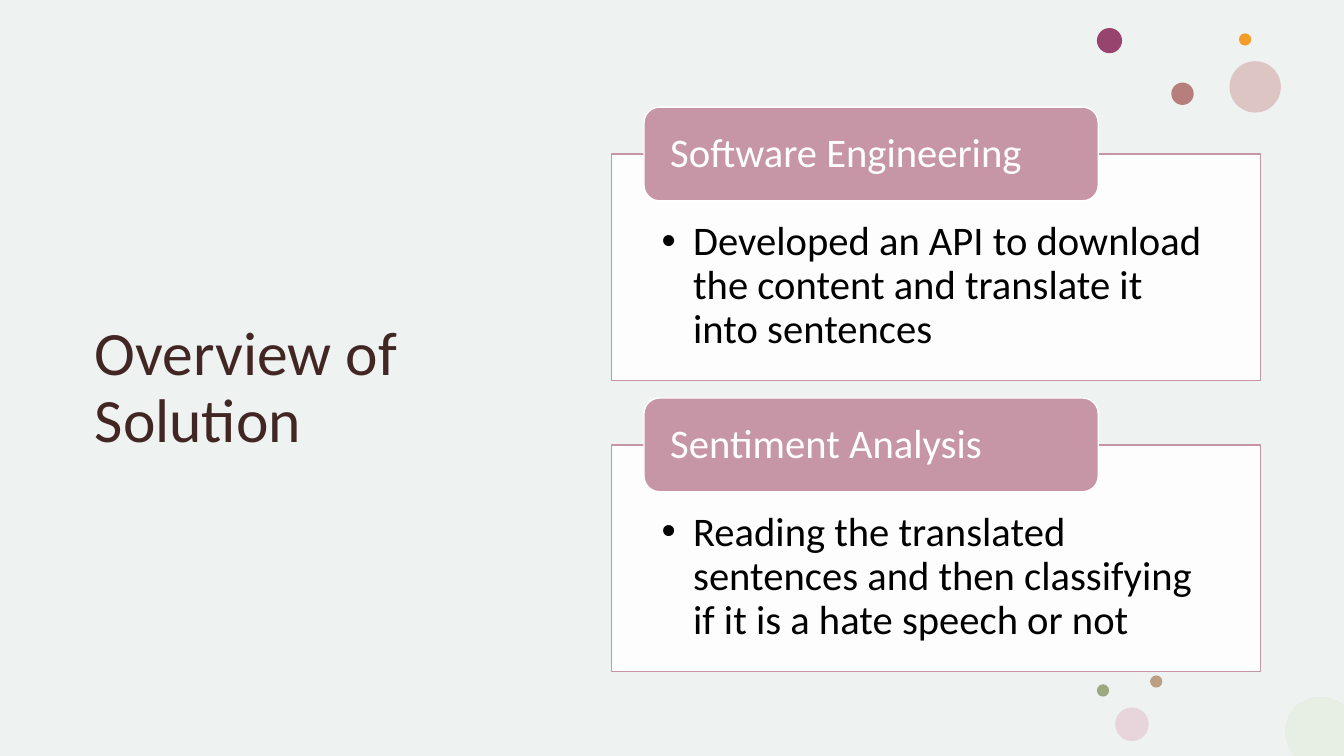
from math import cos, pi, sin

from lxml.etree import SubElement
from pptx import Presentation
from pptx.dml.color import RGBColor
from pptx.enum.shapes import MSO_SHAPE
from pptx.enum.text import MSO_ANCHOR, MSO_AUTO_SIZE, PP_ALIGN
from pptx.oxml.ns import qn
from pptx.util import Pt

WIDTH, HEIGHT = 960, 540
FONT = "Calibri"
COLORS = {
    "background": "EEF2F1",
    "title": "412624",
    "rose": "C696A7",
    "white": "FFFFFF",
    "black": "000000",
    "plum": "97446E",
    "blush": "D6B4B2",
    "orange": "F39E29",
    "clay": "B67F7B",
    "tan": "BC9E83",
    "pink": "E8D5DC",
    "olive": "9CA87F",
    "mint": "E7EFE4",
}

# Left, top, diameter, colour, opacity in percent
DOTS = [
    (783.5, 20, 18, "plum", 100),
    (878.2, 43.7, 36.7, "blush", 72),
    (885, 23.8, 8.8, "orange", 100),
    (836.7, 59, 16, "clay", 100),
    (821.5, 482.4, 8.8, "tan", 100),
    (796.5, 505.3, 24, "pink", 100),
    (783.5, 488.8, 8.8, "olive", 100),
]

TOPICS = [
    ("Software Engineering",
     "Developed an API to download the content and translate it into sentences"),
    ("Sentiment Analysis",
     "Reading the translated sentences and then classifying if it is a hate speech or not"),
]
CARD_TOP, CARD_PITCH = 110, 207.8


def rgb(name):
    return RGBColor.from_string(COLORS[name])


def paint(shape, color, opacity=100, outline=None):
    shape.fill.solid()
    shape.fill.fore_color.rgb = rgb(color)
    if opacity < 100:
        solid = shape.fill._xPr.find(qn("a:solidFill"))
        SubElement(solid[0], qn("a:alpha"), val=str(opacity * 1000))
    if outline:
        shape.line.color.rgb = rgb(outline)
        shape.line.width = Pt(1)
    else:
        shape.line.fill.background()


def place(shape, left, top, width, height):
    shape.left, shape.top = Pt(left), Pt(top)
    shape.width, shape.height = Pt(width), Pt(height)


def write(shape, text, size, color, anchor, margins):
    frame = shape.text_frame
    frame.word_wrap = True
    frame.auto_size = MSO_AUTO_SIZE.NONE
    frame.vertical_anchor = anchor
    (frame.margin_left, frame.margin_top,
     frame.margin_right, frame.margin_bottom) = [Pt(m) for m in margins]
    paragraph = frame.paragraphs[0]
    paragraph.alignment = PP_ALIGN.LEFT
    paragraph.line_spacing = 0.9
    paragraph.space_before = Pt(0)
    run = paragraph.add_run()
    run.text = text
    run.font.name = FONT
    run.font.size = Pt(size)
    run.font.color.rgb = rgb(color)
    return paragraph


def add_bullet(paragraph, indent):
    properties = paragraph._p.get_or_add_pPr()
    properties.set("marL", str(Pt(indent)))
    properties.set("indent", str(-Pt(indent)))
    SubElement(properties, qn("a:buFont"), typeface="Arial")
    SubElement(properties, qn("a:buChar"), char="•")


def add_dot(slide, left, top, diameter, color, opacity):
    dot = slide.shapes.add_shape(
        MSO_SHAPE.OVAL, Pt(left), Pt(top), Pt(diameter), Pt(diameter))
    dot.shadow.inherit = False
    paint(dot, color, opacity)


def add_corner_dot(slide, center_x, center_y, radius, color):
    """A circle cut off by the right and bottom edges of the slide."""
    points = [
        (min(center_x + radius * cos(step * pi / 60), WIDTH),
         min(center_y + radius * sin(step * pi / 60), HEIGHT))
        for step in range(120)
    ]
    builder = slide.shapes.build_freeform(*points[0], scale=Pt(1))
    builder.add_line_segments(points[1:], close=True)
    dot = builder.convert_to_shape()
    dot.shadow.inherit = False
    paint(dot, color)


def add_card(slide, body, top, heading, detail):
    # Outlined panel with its list
    place(body, 436.6, top, 463.6, 162)
    paint(body, "white", 90, "rose")
    paragraph = write(body, detail, 29, "black", MSO_ANCHOR.TOP,
                      (36, 47.5, 36, 16.5))
    add_bullet(paragraph, 22.5)

    # Heading tab across the panel's top edge
    tab = slide.shapes.add_shape(
        MSO_SHAPE.ROUNDED_RECTANGLE, Pt(460), Pt(top - 33.5), Pt(324.5), Pt(67))
    tab.shadow.inherit = False
    paint(tab, "rose", outline="white")
    write(tab, heading, 29, "white", MSO_ANCHOR.MIDDLE, (15.5, 0, 15.5, 0))


def main():
    deck = Presentation()
    deck.slide_width, deck.slide_height = Pt(WIDTH), Pt(HEIGHT)
    slide = deck.slides.add_slide(deck.slide_layouts.get_by_name("Two Content"))
    slide.background.fill.solid()
    slide.background.fill.fore_color.rgb = rgb("background")

    # Title
    title, *bodies = slide.placeholders
    place(title, 60.5, 75, 363, 406)
    write(title, "Overview of Solution", 44, "title", MSO_ANCHOR.MIDDLE,
          (7.2, 3.6, 7.2, 3.6))

    # Decorative dots
    for dot in DOTS:
        add_dot(slide, *dot)
    add_corner_dot(slide, 943.2, 522.7, 25.2, "mint")

    # Topic cards
    for index, (body, topic) in enumerate(zip(bodies, TOPICS)):
        add_card(slide, body, CARD_TOP + index * CARD_PITCH, *topic)

    deck.save("out.pptx")


if __name__ == "__main__":
    main()
